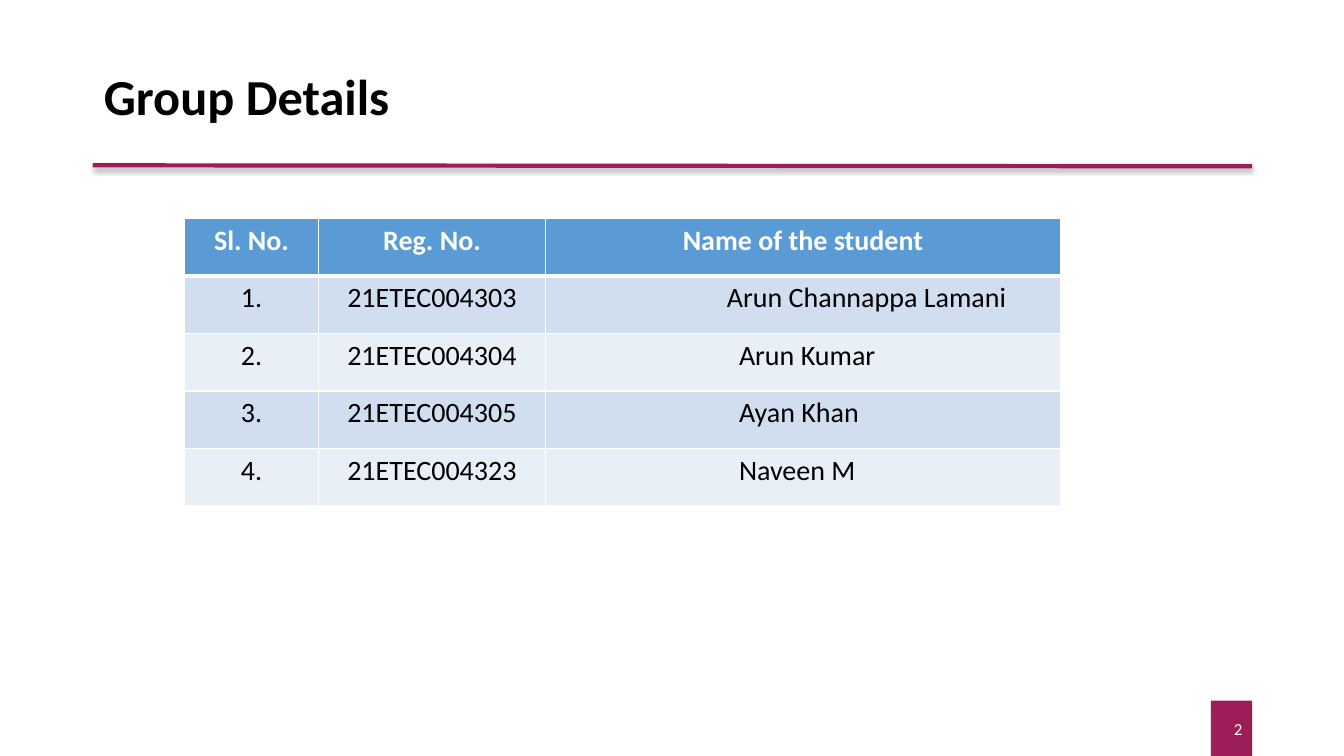
from lxml.etree import SubElement
from pptx import Presentation
from pptx.dml.color import RGBColor
from pptx.enum.shapes import MSO_CONNECTOR, MSO_SHAPE
from pptx.enum.text import MSO_ANCHOR, MSO_AUTO_SIZE, PP_ALIGN
from pptx.oxml import parse_xml
from pptx.oxml.ns import nsdecls, qn
from pptx.util import Inches, Pt

FONT = "Calibri"
PLUM = RGBColor(0x9D, 0x1D, 0x59)
BLUE = RGBColor(0x5B, 0x9B, 0xD5)
BAND_DARK = RGBColor(0xD1, 0xDE, 0xEF)
BAND_LIGHT = RGBColor(0xE9, 0xEF, 0xF7)
WHITE = RGBColor(0xFF, 0xFF, 0xFF)
BLACK = RGBColor(0x00, 0x00, 0x00)

HEADINGS = ("Sl. No.", "Reg. No.", "Name of the student")
# Registration number, name, left margin of the name in inches
STUDENTS = (
    ("21ETEC004303", "Arun Channappa Lamani", 1.8),
    ("21ETEC004304", "Arun Kumar", 1.92),
    ("21ETEC004305", "Ayan Khan", 1.92),
    ("21ETEC004323", "Naveen M", 1.92),
)
COLUMN_WIDTHS = (1.33, 2.25, 5.11)
ROW_HEIGHT = 0.57


def set_font(p, size, color, bold=False):
    p.font.name = FONT
    p.font.size = Pt(size)
    p.font.color.rgb = color
    p.font.bold = bold


def add_title(slide, text, left, top, width, height):
    title = slide.shapes.title
    title.left, title.top = Inches(left), Inches(top)
    title.width, title.height = Inches(width), Inches(height)
    tf = title.text_frame
    tf.text = text
    tf.auto_size = MSO_AUTO_SIZE.NONE
    tf.vertical_anchor = MSO_ANCHOR.MIDDLE
    p = tf.paragraphs[0]
    p.alignment = PP_ALIGN.LEFT
    p.line_spacing = 0.9
    set_font(p, 36, BLACK, bold=True)


def add_title_rule(slide, left, top, width, drop):
    rule = slide.shapes.add_connector(
        MSO_CONNECTOR.STRAIGHT, Inches(left), Inches(top),
        Inches(left + width), Inches(top + drop))
    rule.line.color.rgb = PLUM
    rule.line.width = Pt(3)
    rule._element.spPr.append(parse_xml(
        f'<a:effectLst {nsdecls("a")}>'
        f'<a:outerShdw blurRad="{Pt(3.1)}" dist="{Pt(1.8)}" dir="5400000" rotWithShape="0">'
        '<a:srgbClr val="000000"><a:alpha val="35000"/></a:srgbClr>'
        '</a:outerShdw></a:effectLst>'))


def add_page_number(slide, number, left, top, width, height):
    sp = slide.shapes.add_shape(
        MSO_SHAPE.RECTANGLE, Inches(left), Inches(top), Inches(width), Inches(height))
    sp.shadow.inherit = False
    sp.fill.solid()
    sp.fill.fore_color.rgb = PLUM
    sp.line.fill.background()
    tf = sp.text_frame
    tf.text = str(number)
    tf.vertical_anchor = MSO_ANCHOR.MIDDLE
    p = tf.paragraphs[0]
    p.alignment = PP_ALIGN.RIGHT
    set_font(p, 12, WHITE)


def set_borders(cell, top, bottom):
    """Draw white borders, with the top and bottom widths given in points."""
    tcPr = cell._tc.get_or_add_tcPr()
    widths = {"a:lnL": 0.96, "a:lnR": 0.96, "a:lnT": top, "a:lnB": bottom}
    for i, (tag, width) in enumerate(widths.items()):
        ln = SubElement(tcPr, qn(tag), w=str(Pt(width)))
        fill = SubElement(ln, qn("a:solidFill"))
        SubElement(fill, qn("a:srgbClr"), val=str(WHITE))
        tcPr.insert(i, ln)


def add_student_table(slide, left, top):
    rows = [HEADINGS] + [
        (f"{i}.", reg, name) for i, (reg, name, _) in enumerate(STUDENTS, 1)]
    table = slide.shapes.add_table(
        len(rows), len(HEADINGS), Inches(left), Inches(top),
        Inches(sum(COLUMN_WIDTHS)), Inches(ROW_HEIGHT * len(rows))).table
    for column, width in zip(table.columns, COLUMN_WIDTHS):
        column.width = Inches(width)
    for r, texts in enumerate(rows):
        table.rows[r].height = Inches(ROW_HEIGHT)
        header = r == 0
        fill = BLUE if header else BAND_DARK if r % 2 else BAND_LIGHT
        for c, text in enumerate(texts):
            cell = table.cell(r, c)
            cell.text = text
            cell.fill.solid()
            cell.fill.fore_color.rgb = fill
            set_borders(cell, 3 if r == 1 else 0.96, 3 if header else 0.96)
            p = cell.text_frame.paragraphs[0]
            p.alignment = PP_ALIGN.CENTER
            set_font(p, 20, WHITE if header else BLACK, bold=header)
            if c == 2 and not header:
                p.alignment = PP_ALIGN.LEFT
                cell.margin_left = Inches(STUDENTS[r - 1][2])


def main():
    prs = Presentation()
    prs.slide_width, prs.slide_height = Inches(13.33), Inches(7.5)
    slide = prs.slides.add_slide(prs.slide_layouts[5])
    add_title_rule(slide, 0.92, 1.64, 11.5, 0.01)
    add_page_number(slide, 2, 12.01, 6.95, 0.41, 0.55)
    add_title(slide, "Group Details", 0.93, 0.36, 9.05, 1.25)
    add_student_table(slide, 1.83, 2.17)
    prs.save("out.pptx")


if __name__ == "__main__":
    main()
